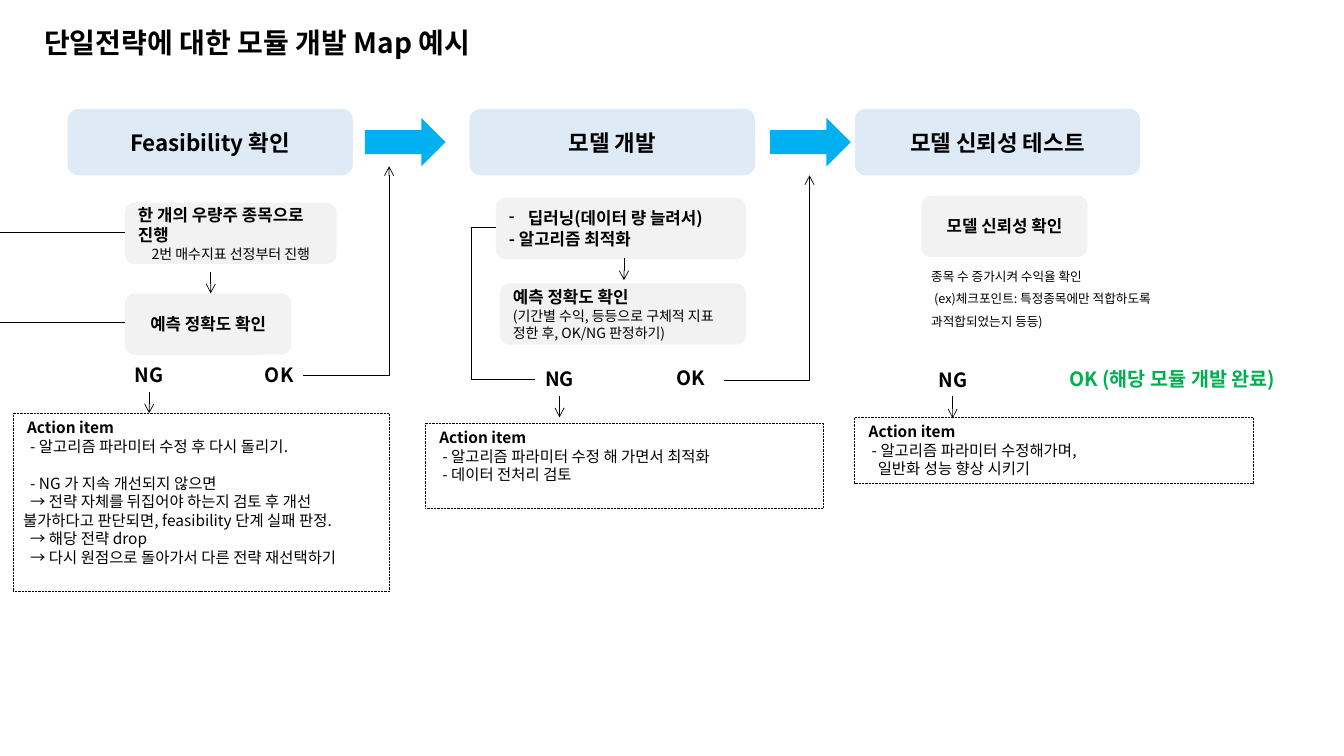
from dataclasses import dataclass

from lxml import etree
from pptx import Presentation, util as u
from pptx.dml.color import RGBColor
from pptx.enum import dml, shapes, text
from pptx.oxml.ns import qn

WIDTH, HEIGHT = u.Inches(13.333), u.Inches(7.5)
FONT = "Noto Sans CJK KR"
BLACK, GREEN = "000000", "00B050"
STAGE_FILL, STEP_FILL, ARROW_FILL = "DEEBF7", "F2F2F2", "00B0F0"
LEFT, CENTER = text.PP_ALIGN.LEFT, text.PP_ALIGN.CENTER
TOP, MIDDLE = text.MSO_ANCHOR.TOP, text.MSO_ANCHOR.MIDDLE
SHAPE = shapes.MSO_SHAPE


@dataclass
class Line:
    """One paragraph; margin and indent in inches, before in points."""
    words: str
    size: float
    bold: bool = False
    align: int = LEFT
    color: str = BLACK
    margin: float = 0
    indent: float = 0
    before: float = 0
    spacing: float = 1.0
    bullet: str = ""


def color_of(value):
    return RGBColor.from_string(value)


def across(share):
    """Percent of the slide's width."""
    return u.Emu(round(WIDTH * share / 100))


def down(share):
    """Percent of the slide's height."""
    return u.Emu(round(HEIGHT * share / 100))


def place(left, top, width, height):
    return across(left), down(top), across(width), down(height)


def write(frame, lines, anchor=TOP, wrap=True):
    frame.word_wrap = wrap
    frame.vertical_anchor = anchor
    for number, line in enumerate(lines):
        paragraph = frame.add_paragraph() if number else frame.paragraphs[0]
        paragraph.text = line.words
        paragraph.alignment = line.align
        paragraph.space_before = u.Pt(line.before)
        paragraph.line_spacing = line.spacing
        properties = paragraph._p.get_or_add_pPr()
        properties.set("marL", str(u.Inches(line.margin)))
        properties.set("indent", str(u.Inches(line.indent)))
        if line.bullet:
            etree.SubElement(properties, qn("a:buChar")).set("char", line.bullet)
        for run in paragraph.runs:
            font = run.font
            font.name, font.size, font.bold = FONT, u.Pt(line.size), line.bold
            font.color.rgb = color_of(line.color)
            # Korean letters take the East Asian font
            etree.SubElement(run._r.rPr, qn("a:ea")).set("typeface", FONT)


def add_block(slide, kind, box, fill, lines=()):
    shape = slide.shapes.add_shape(kind, *place(*box))
    shape.shadow.inherit = False
    shape.fill.solid()
    shape.fill.fore_color.rgb = color_of(fill)
    shape.line.fill.background()
    if lines:
        write(shape.text_frame, lines, MIDDLE)


def add_text(slide, box, lines, wrap=False):
    write(slide.shapes.add_textbox(*place(*box)).text_frame, lines, wrap=wrap)


def add_action_box(slide, box, lines):
    shape = slide.shapes.add_shape(SHAPE.RECTANGLE, *place(*box))
    shape.shadow.inherit = False
    shape.fill.background()
    shape.line.color.rgb = color_of(BLACK)
    shape.line.width = u.Pt(0.5)
    shape.line.dash_style = dml.MSO_LINE.ROUND_DOT
    heading = Line("Action item", 11, True, indent=0.04)
    write(shape.text_frame, [heading, *lines])


def add_line(slide, start, end, arrow=True, preset="line", bend=None):
    connector = slide.shapes.add_connector(
        shapes.MSO_CONNECTOR.STRAIGHT, across(start[0]), down(start[1]),
        across(end[0]), down(end[1]))
    connector.line.color.rgb = color_of(BLACK)
    connector.line.width = u.Pt(0.5)
    properties = connector._element.spPr
    geometry = properties.find(qn("a:prstGeom"))
    geometry.set("prst", preset)
    if bend is not None:
        guide = etree.SubElement(geometry.find(qn("a:avLst")), qn("a:gd"))
        guide.set("name", "adj1")
        guide.set("fmla", f"val {round(bend * 100000)}")
    if arrow:
        tail = etree.SubElement(properties.find(qn("a:ln")), qn("a:tailEnd"))
        tail.set("type", "arrow")
    etree.SubElement(properties, qn("a:effectLst"))


def add_stages(slide):
    names = ("Feasibility 확인", "모델 개발", "모델 신뢰성 테스트")
    for left, name in zip((5.03, 34.95, 63.6), names):
        add_block(slide, SHAPE.ROUNDED_RECTANGLE, (left, 14.4, 21.23, 8.8),
                  STAGE_FILL, [Line(name, 16, True, CENTER)])
    for left in (27.15, 57.3):
        add_block(slide, SHAPE.RIGHT_ARROW, (left, 15.6, 6, 6.4), ARROW_FILL)


def add_steps(slide):
    steps = [
        (9.3, 26.8, 15.75, [
            Line("한 개의 우량주 종목으로 진행", 12, True),
            Line("2번 매수지표 선정부터 진행", 10, align=CENTER)]),
        (9.3, 38.8, 12.38, [Line("예측 정확도 확인", 12, True, CENTER)]),
        (36.9, 26.13, 18.6, [
            Line("딥러닝(데이터 량 늘려서)", 12, True,
                 margin=0.19, indent=-0.19, bullet="-"),
            Line("- 알고리즘 최적화", 12, True)]),
        (37.2, 37.47, 18.3, [
            Line("예측 정확도 확인", 12, True),
            Line("(기간별 수익, 등등으로 구체적 지표 정한 후, OK/NG 판정하기)", 10)]),
        (68.55, 25.87, 12.38, [Line("모델 신뢰성 확인", 12, True, CENTER)]),
    ]
    for left, top, width, lines in steps:
        add_block(slide, SHAPE.ROUNDED_RECTANGLE, (left, top, width, 8.13),
                  STEP_FILL, lines)
    add_text(slide, (68.55, 33.87, 20.48, 10.4), [
        Line("종목 수 증가시켜 수익율 확인", 9, spacing=1.5),
        Line("(ex)체크포인트: 특정종목에만 적합하도록 과적합되었는지 등등)", 9,
             indent=0.03, spacing=1.5)], wrap=True)


def add_verdicts(slide):
    verdicts = [("NG", 9.3, 47.33), ("NG", 39.83, 47.87), ("NG", 69.08, 48),
                ("OK", 18.98, 47.33), ("OK", 49.58, 47.73)]
    for verdict, left, top in verdicts:
        add_text(slide, (left, top, 4.5, 4.53), [Line(verdict, 14, True)])
    add_text(slide, (78.83, 47.87, 18.53, 4.53),
             [Line("OK (해당 모듈 개발 완료)", 14, True, color=GREEN)])


def add_actions(slide):
    def item(words, indent=0.07, **options):
        return Line(words, 11, indent=indent, **options)

    add_action_box(slide, (0.98, 54.67, 27.98, 23.6), [
        item("- 알고리즘 파라미터 수정 후 다시 돌리기."),
        item("- NG 가 지속 개선되지 않으면", before=13.2),
        item("→ 전략 자체를 뒤집어야 하는지 검토 후 개선 불가하다고 판단되면, "
             "feasibility 단계 실패 판정."),
        item("→ 해당 전략 drop"),
        item("→ 다시 원점으로 돌아가서 다른 전략 재선택하기")])
    add_action_box(slide, (31.65, 56, 29.63, 11.2), [
        item("- 알고리즘 파라미터 수정 해 가면서 최적화"),
        item("- 데이터 전처리 검토")])
    add_action_box(slide, (63.6, 55.2, 29.63, 8.8), [
        item("- 알고리즘 파라미터 수정해가며,\v일반화 성능 향상 시키기",
             margin=0.13, indent=-0.06)])


def add_flow(slide):
    # Short arrows pointing down
    for x, top, bottom in ((15.68, 36, 38.8), (46.43, 34.13, 37.07),
                           (11.1, 51.87, 54.67), (41.63, 52.4, 55.2),
                           (70.88, 52.4, 55.33)):
        add_line(slide, (x, top), (x, bottom))
    # OK leads up to the next stage
    for start, end in (((22.58, 49.6), (28.95, 22)),
                       ((53.85, 50.27), (60.23, 23.2))):
        add_line(slide, start, end, preset="bentConnector2")
    # NG loops back to the first step
    add_line(slide, (39.83, 50.13), (36.9, 30.13), arrow=False,
             preset="bentConnector3", bend=1.63)
    for y in (30.8, 42.67):
        add_line(slide, (0, y), (9.3, y), arrow=False)


def main():
    presentation = Presentation()
    presentation.slide_width, presentation.slide_height = WIDTH, HEIGHT
    slide = presentation.slides.add_slide(presentation.slide_layouts[6])
    add_text(slide, (2.55, 2.67, 37.05, 5.87),
             [Line("단일전략에 대한 모듈 개발 Map 예시", 20, True)])
    add_stages(slide)
    add_steps(slide)
    add_verdicts(slide)
    add_actions(slide)
    add_flow(slide)
    presentation.save("out.pptx")


main()
